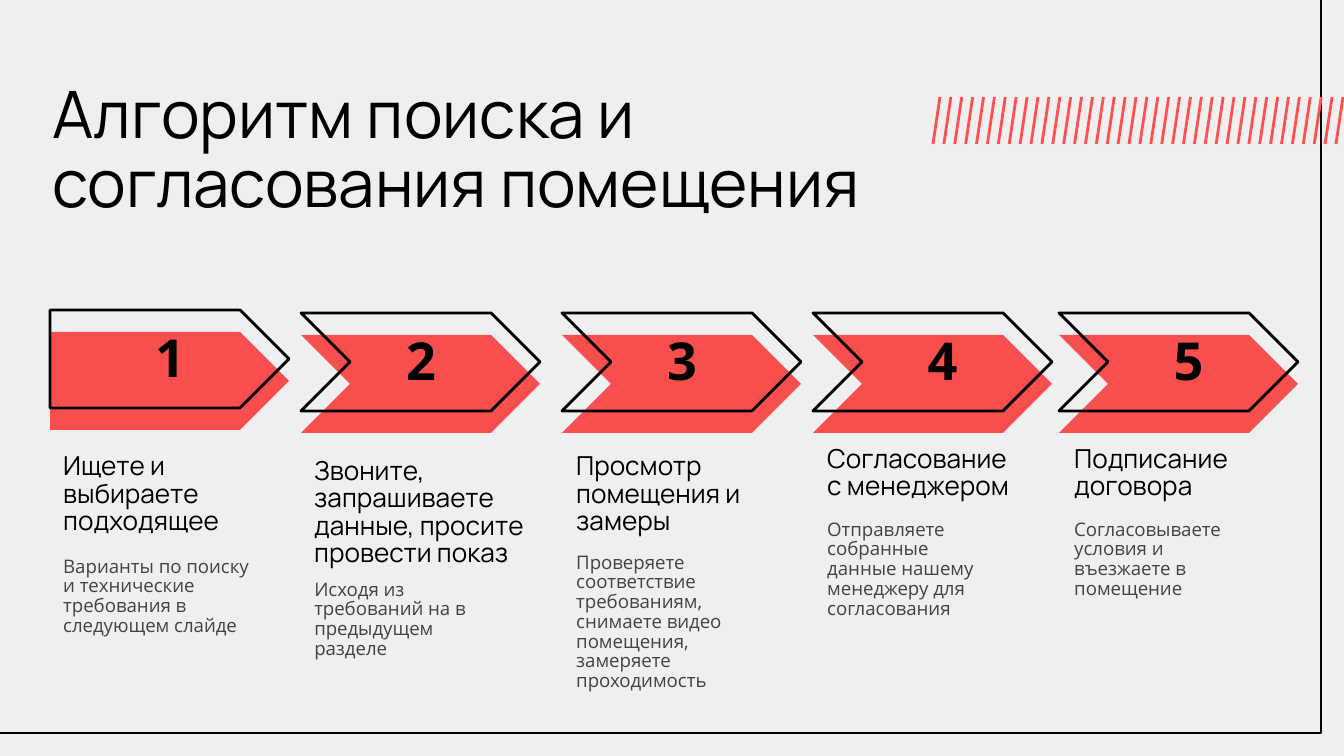
"""Builds a slide with five numbered steps for finding and agreeing on premises."""
from lxml import etree
from pptx import Presentation
from pptx import util as u
from pptx.dml.color import RGBColor
from pptx.enum import shapes, text
from pptx.oxml.ns import qn

PX = 9144000 / 1344
COLORS = {"background": "EFEFEF", "ink": "000000", "slash": "FF4F4F",
          "arrow": "FF0000", "detail": "434343"}
HEADING_FONT, BODY_FONT = "Manrope", "Open Sans"

STEPS = [
    dict(left=50, top=310, heading="Ищете и выбираете подходящее",
         heading_box=(0, 120, 219, 120),
         detail="Варианты по поиску и технические требования в следующем слайде",
         detail_box=(0, 234, 219, 120)),
    dict(left=301, top=313, heading="Звоните, запрашиваете данные, просите провести показ",
         heading_box=(0, 117, 274, 152),
         detail="Исходя из требований на в предыдущем разделе",
         detail_box=(0, 254, 195, 120)),
    dict(left=562, top=313, heading="Просмотр помещения и замеры",
         heading_box=(1, 117, 195, 120),
         detail="Проверяете соответствие требованиям, снимаете видео помещения, замеряете проходимость",
         detail_box=(1, 227, 219, 173)),
    dict(left=813, top=313, heading="Согласование \vс менеджером", number_width=109,
         heading_box=(1, 117, 239, 85),
         detail="Отправляете собранные данные нашему менеджеру для согласования",
         detail_box=(1, 194, 195, 98)),
    dict(left=1059, top=313, heading="Подписание договора", number_width=109,
         heading_box=(2, 117, 239, 85),
         detail="Согласовываете условия и въезжаете в помещение",
         detail_box=(2, 194, 195, 120)),
]


def px(*lengths):
    """Turn pixel lengths into EMU."""
    return [u.Emu(round(length * PX)) for length in lengths]


def color(name):
    """Return the named colour."""
    return RGBColor.from_string(COLORS[name])


def write(shape, content, size, font=BODY_FONT, ink="ink", bold=False,
          align=text.PP_ALIGN.LEFT, anchor=text.MSO_ANCHOR.TOP, spacing=0.88):
    """Fill a shape with formatted text."""
    frame = shape.text_frame
    frame.word_wrap = True
    frame.auto_size = text.MSO_AUTO_SIZE.NONE
    frame.vertical_anchor = anchor
    frame.margin_left = frame.margin_right = u.Inches(0.1)
    frame.margin_top = frame.margin_bottom = u.Inches(0.1)
    frame.text = content
    paragraph = frame.paragraphs[0]
    paragraph.alignment = align
    paragraph.line_spacing = spacing
    for run in paragraph.runs:
        run.font.name = font
        run.font.size = u.Pt(size)
        run.font.bold = bold
        run.font.color.rgb = color(ink)


def add_text(slide, box, content, **style):
    """Add a text box."""
    write(slide.shapes.add_textbox(*px(*box)), content, **style)


def add_block(slide, kind, box, fill=None, alpha=100):
    """Add a filled shape, or a black outline when no fill is given."""
    shape = slide.shapes.add_shape(kind, *px(*box))
    shape.shadow.inherit = False
    if fill:
        shape.fill.solid()
        shape.fill.fore_color.rgb = color(fill)
        etree.SubElement(shape.element.spPr.find(".//" + qn("a:srgbClr")),
                         qn("a:alpha"), val=str(alpha * 1000))
        shape.line.fill.background()
    else:
        shape.fill.background()
        shape.line.color.rgb = color("ink")
        shape.line.width = u.Pt(1.5)


def add_slashes(slide, left, top, width, height, count=38, lean=7):
    """Draw a row of evenly spaced slanted strokes."""
    step = (width - lean) / (count - 1)
    for index in range(count):
        foot = left + index * step
        stroke = slide.shapes.add_connector(
            shapes.MSO_CONNECTOR.STRAIGHT, *px(foot + lean, top, foot, top + height))
        stroke.line.color.rgb = color("slash")
        stroke.line.width = u.Pt(1.5)
        etree.SubElement(stroke.element.spPr, qn("a:effectLst"))


def add_title(slide, left, top, width, height):
    """Place the title."""
    title = slide.shapes.title
    title.left, title.top, title.width, title.height = px(left, top, width, height)
    write(title, "Алгоритм поиска и согласования помещения", size=35, font=HEADING_FONT)


def add_step(slide, number, left, top, heading, heading_box, detail, detail_box,
             number_width=90):
    """Place one step: its arrow, number, heading and detail."""
    def within(x, y, width, height):
        return left + x, top + y, width, height

    kind = shapes.MSO_SHAPE.PENTAGON if number == 1 else shapes.MSO_SHAPE.CHEVRON
    add_block(slide, kind, within(0, 22, 239, 98), fill="arrow", alpha=67)
    add_block(slide, kind, within(0, 0, 239, 98))
    add_text(slide, within(75, 30, number_width, 42), str(number), size=28, bold=True,
             align=text.PP_ALIGN.CENTER, anchor=text.MSO_ANCHOR.MIDDLE)
    add_text(slide, within(*heading_box), heading, size=14, font=HEADING_FONT,
             anchor=text.MSO_ANCHOR.BOTTOM)
    add_text(slide, within(*detail_box), detail, size=10, ink="detail")


def main():
    """Build and save the presentation."""
    presentation = Presentation()
    presentation.slide_width, presentation.slide_height = px(1344, 756)
    slide = presentation.slides.add_slide(presentation.slide_layouts[5])
    slide.background.fill.solid()
    slide.background.fill.fore_color.rgb = color("background")
    add_block(slide, shapes.MSO_SHAPE.RECTANGLE, (-16, -16, 1337, 749))
    add_slashes(slide, 933, 97, 410, 47)
    add_title(slide, 39, 70, 915, 85)
    for number, step in enumerate(STEPS, 1):
        add_step(slide, number, **step)
    presentation.save("out.pptx")


if __name__ == "__main__":
    main()
